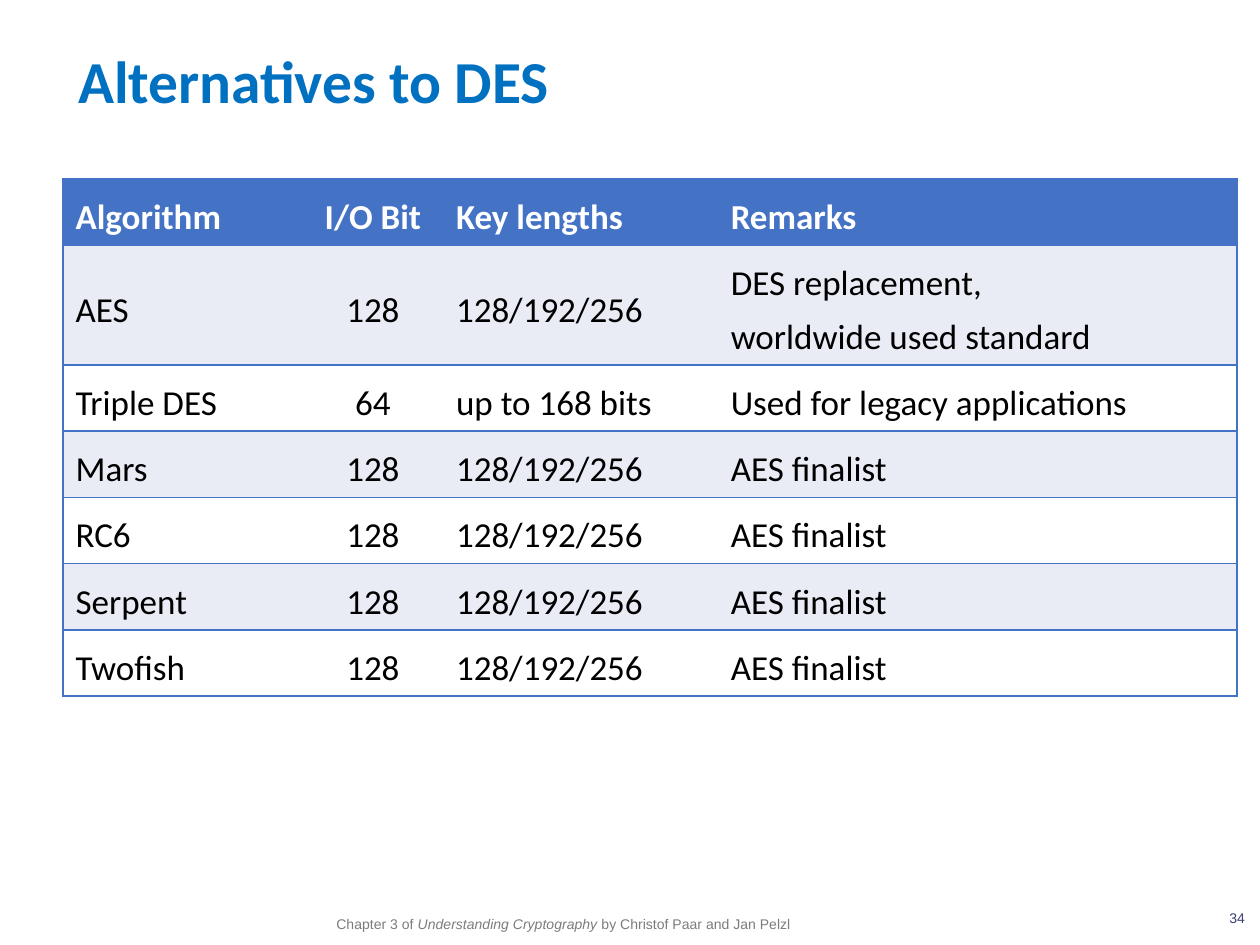
from dataclasses import dataclass

from lxml.etree import SubElement
from pptx import Presentation
from pptx.dml.color import RGBColor as RGB
from pptx.enum.text import MSO_ANCHOR as Anchor, MSO_AUTO_SIZE as AutoSize, PP_ALIGN as Align
from pptx.oxml.ns import qn
from pptx.util import Inches, Pt


@dataclass(frozen=True)
class Theme:
    """Colours, fonts and type sizes of the slide."""
    title: str = "0070C0"
    accent: str = "4472C4"
    band: str = "E9EBF5"
    white: str = "FFFFFF"
    black: str = "000000"
    footer: str = "7C7C7C"
    number: str = "394073"
    body_font: str = "Calibri"
    footer_font: str = "Arial"
    title_size: int = 34
    table_size: int = 20
    footer_size: int = 8


T = Theme()
SLIDE_W, SLIDE_H = Inches(10), Inches(7.5)
GRID_COLS, GRID_ROWS = 100, 75

COLUMN_WIDTHS = [19, 11.2, 21.8, 41.2]
ROW_HEIGHT, TALL_ROW_HEIGHT = 5.2, 9.4
KEYS = "128/192/256"
FINALISTS = ["Mars", "RC6", "Serpent", "Twofish"]
ALGORITHMS = [
    ["Algorithm", "I/O Bit", "Key lengths", "Remarks"],
    ["AES", "128", KEYS, "DES replacement,\nworldwide used standard"],
    ["Triple DES", "64", "up to 168 bits", "Used for legacy applications"],
    *[[name, "128", KEYS, "AES finalist"] for name in FINALISTS],
]


def across(cols):
    """Return the length of a number of grid columns."""
    return round(SLIDE_W * cols / GRID_COLS)


def down(rows):
    """Return the length of a number of grid rows."""
    return round(SLIDE_H * rows / GRID_ROWS)


def box(col, row, cols, rows):
    """Return left, top, width and height of a grid area."""
    return across(col), down(row), across(cols), down(rows)


def add_text(p, text, *, font=T.body_font, size=T.table_size, color=T.black,
             bold=False, italic=False, align=Align.LEFT, spacing=None):
    """Append formatted text to a paragraph, with a break at each newline."""
    p.alignment = align
    if spacing:
        p.line_spacing = spacing
    for i, line in enumerate(text.split("\n")):
        if i:
            p.add_line_break()
        r = p.add_run()
        r.text = line
        r.font.name, r.font.size = font, Pt(size)
        r.font.bold, r.font.italic = bold, italic
        r.font.color.rgb = RGB.from_string(color)


def add_title(s, text):
    """Place and fill the title placeholder."""
    sp = s.shapes.title
    sp.left, sp.top, sp.width, sp.height = box(5.2, 3.5, 70.7, 5.6)
    tf = sp.text_frame
    tf.auto_size = AutoSize.NONE
    tf.vertical_anchor = Anchor.MIDDLE
    add_text(tf.paragraphs[0], text, size=T.title_size, color=T.title, bold=True)


def add_label(s, area):
    """Add a text box without margins and return its paragraph."""
    tf = s.shapes.add_textbox(*area).text_frame
    tf.word_wrap = True
    tf.margin_left = tf.margin_top = tf.margin_right = tf.margin_bottom = 0
    return tf.paragraphs[0]


def set_borders(cell, first, last):
    """Draw horizontal rules, and vertical ones only at the table's outer sides."""
    tcPr = cell._tc.get_or_add_tcPr()
    for side, drawn in (("L", first), ("R", last), ("T", True), ("B", True)):
        ln = SubElement(tcPr, qn(f"a:ln{side}"), w=str(Pt(1)))
        if drawn:
            fill = SubElement(ln, qn("a:solidFill"))
            SubElement(fill, qn("a:srgbClr"), val=T.accent)
        else:
            SubElement(ln, qn("a:noFill"))


def format_cell(cell, text, row, col):
    """Fill one table cell according to its row and column."""
    header = row == 0
    set_borders(cell, col == 0, col == len(COLUMN_WIDTHS) - 1)
    fill = T.accent if header else T.band if row % 2 else T.white
    cell.fill.solid()
    cell.fill.fore_color.rgb = RGB.from_string(fill)
    cell.vertical_anchor = Anchor.MIDDLE
    add_text(cell.text_frame.paragraphs[0], text, bold=header, spacing=1.25,
             color=T.white if header else T.black,
             align=Align.CENTER if col == 1 else Align.LEFT)


def add_algorithm_table(s):
    """Add the table of ciphers."""
    heights = [TALL_ROW_HEIGHT if any("\n" in text for text in row) else ROW_HEIGHT
               for row in ALGORITHMS]
    area = box(5, 14.2, sum(COLUMN_WIDTHS), sum(heights))
    table = s.shapes.add_table(len(heights), len(COLUMN_WIDTHS), *area).table
    for column, width in zip(table.columns, COLUMN_WIDTHS):
        column.width = across(width)
    for i, (row, height) in enumerate(zip(table.rows, heights)):
        row.height = down(height)
        for j, cell in enumerate(row.cells):
            format_cell(cell, ALGORITHMS[i][j], i, j)


def add_footer(s):
    """Add the page number and the source of the chapter."""
    style = dict(font=T.footer_font, size=T.footer_size)
    add_text(add_label(s, box(93.3, 72.2, 5.5, 2.1)), "34",
             color=T.number, align=Align.RIGHT, **style)
    p = add_label(s, box(26.7, 72.4, 47.3, 2.4))
    for text, italic in (("Chapter 3 of ", False), ("Understanding Cryptography", True),
                         (" by Christof Paar and Jan Pelzl", False)):
        add_text(p, text, color=T.footer, italic=italic, spacing=1.2, **style)


def main():
    """Build and save the slide."""
    prs = Presentation()
    prs.slide_width, prs.slide_height = SLIDE_W, SLIDE_H
    s = prs.slides.add_slide(prs.slide_layouts[5])
    add_title(s, "Alternatives to DES")
    add_algorithm_table(s)
    add_footer(s)
    prs.save("out.pptx")


if __name__ == "__main__":
    main()
